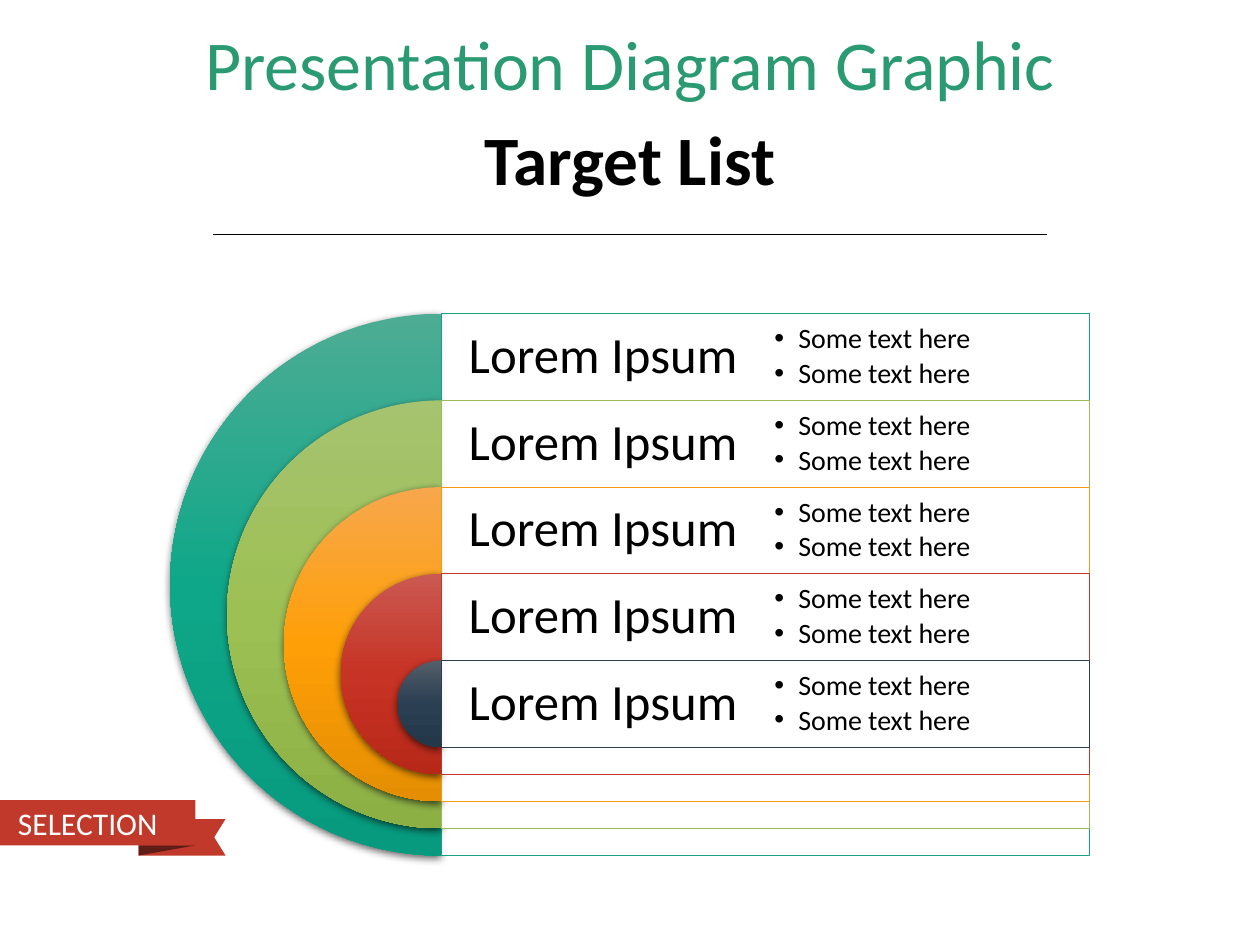
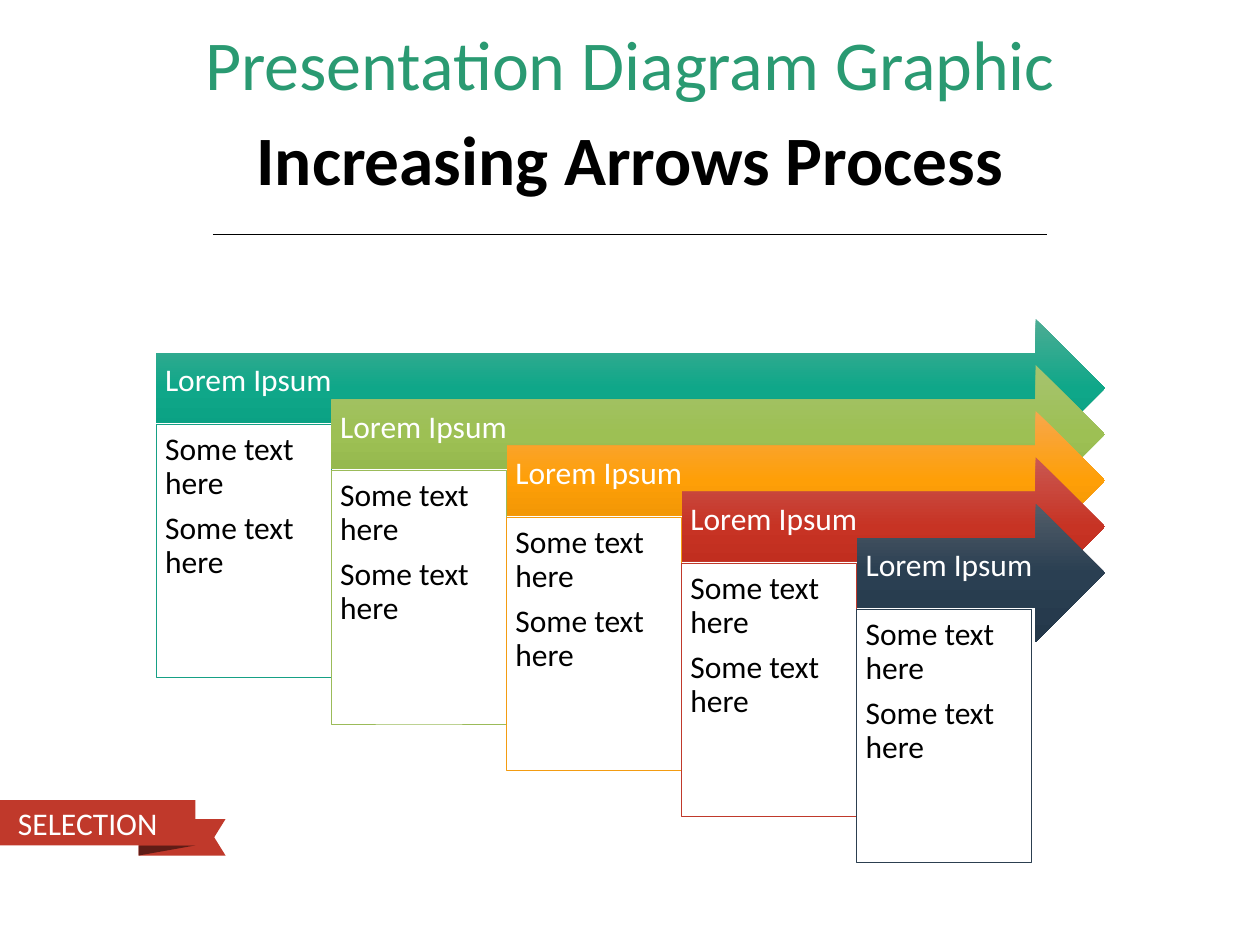
from copy import deepcopy

from lxml import etree
from pptx import Presentation
from pptx.dml.color import RGBColor
from pptx.enum.shapes import MSO_CONNECTOR, MSO_SHAPE
from pptx.enum.text import MSO_ANCHOR, MSO_AUTO_SIZE, PP_ALIGN
from pptx.oxml.ns import qn
from pptx.util import Inches, Pt

RECTANGLE, PIE, ARROW = MSO_SHAPE.RECTANGLE, MSO_SHAPE.PIE, MSO_SHAPE.RIGHT_ARROW
STRAIGHT = MSO_CONNECTOR.STRAIGHT
TOP, MIDDLE = MSO_ANCHOR.TOP, MSO_ANCHOR.MIDDLE
LEFT, CENTER, RIGHT = PP_ALIGN.LEFT, PP_ALIGN.CENTER, PP_ALIGN.RIGHT
NO_AUTOFIT = MSO_AUTO_SIZE.NONE

FONT = "Calibri"
SLIDE_W, SLIDE_H = 10, 7.5
HEADING_X, HEADING_W, HEADING_H = 0.69, 8.62, 0.75
COLORS = {
    "heading": "2A9A72",
    "ribbon": "C0392B",
    "fold": "601C16",
    "black": "000000",
    "white": "FFFFFF",
}
# Each theme: outline, then gradient from top to bottom
THEMES = [
    ("16A085", ("4DAC94", "0FA789", "079A7E")),
    ("9BBB59", ("A6C36F", "9DC054", "8DB045")),
    ("F39C12", ("F7A74C", "FE9F07", "E58E03")),
    ("C0392B", ("CA5952", "C73324", "B82819")),
    ("2C3F50", ("545E69", "2A3F52", "24384A")),
]
LABEL = "Lorem Ipsum"
DETAILS = ["Some text here", "Some text here"]


def rgb(color):
    return RGBColor.from_string(COLORS.get(color, color))


def add_bullet(paragraph, indent):
    properties = paragraph._p.get_or_add_pPr()
    properties.set("marL", str(Inches(indent)))
    properties.set("indent", str(-Inches(indent)))
    etree.SubElement(properties, qn("a:buFont"), typeface="Arial")
    etree.SubElement(properties, qn("a:buChar"), char="•")


def write(frame, lines, size=18, color="black", bold=False, align=LEFT, anchor=MIDDLE,
          insets=(0.1, 0.05, 0.1, 0.05), spacing=0.9, after=0, bullet_indent=None):
    """Fill a text frame; insets run left, top, right, bottom, and after is in points."""
    frame.word_wrap = True
    frame.auto_size = NO_AUTOFIT
    frame.vertical_anchor = anchor
    (frame.margin_left, frame.margin_top,
     frame.margin_right, frame.margin_bottom) = map(Inches, insets)
    for index, line in enumerate(lines):
        paragraph = frame.add_paragraph() if index else frame.paragraphs[0]
        paragraph.text = line
        if bullet_indent:
            add_bullet(paragraph, bullet_indent)
        paragraph.alignment = align
        paragraph.line_spacing = spacing
        paragraph.space_before = Pt(0)
        paragraph.space_after = Pt(after)
        font = paragraph.runs[0].font
        font.name, font.size, font.bold = FONT, Pt(size), bold
        font.color.rgb = rgb(color)


def add_text(slide, box, lines, **style):
    write(slide.shapes.add_textbox(*map(Inches, box)).text_frame, lines, **style)


def paint(shape, fill, outline=None):
    """Give a flat fill, or a vertical gradient when fill is a tuple."""
    shape.shadow.inherit = False
    if isinstance(fill, tuple):
        shape.fill.gradient()
        shape.fill.gradient_angle = 270
        stop_list = shape._element.spPr.find(".//" + qn("a:gsLst"))
        stop_list.insert(1, deepcopy(stop_list[0]))
        for index, (stop, color) in enumerate(zip(shape.fill.gradient_stops, fill)):
            stop.position = index / (len(fill) - 1)
            stop.color.rgb = rgb(color)
    else:
        shape.fill.solid()
        shape.fill.fore_color.rgb = rgb(fill)
    if outline:
        shape.line.color.rgb = rgb(outline)
        shape.line.width = Pt(0.5)
    else:
        shape.line.fill.background()
    return shape


def add_form(slide, kind, box, fill, outline=None):
    return paint(slide.shapes.add_shape(kind, *map(Inches, box)), fill, outline)


def add_outline(slide, points, fill):
    corners = [(Inches(x), Inches(y)) for x, y in points]
    builder = slide.shapes.build_freeform(*corners[0])
    builder.add_line_segments(corners[1:], close=True)
    paint(builder.convert_to_shape(), fill)


def set_alpha(color_node, percent):
    etree.SubElement(color_node, qn("a:alpha"), val=str(percent * 1000))


def cast_shadow(shape):
    effects = shape._element.spPr.find(qn("a:effectLst"))
    shadow = etree.SubElement(effects, qn("a:outerShdw"), blurRad=str(Pt(4.5)),
                              dist=str(Pt(1.5)), dir="5400000", rotWithShape="0")
    set_alpha(etree.SubElement(shadow, qn("a:srgbClr"), val=COLORS["black"]), 63)


def add_ribbon(slide):
    tail_x, tail_end, top, bottom = 1.1, 1.79, 6.5, 6.79
    band_w, band_y, band_h = 1.55, 6.35, 0.36
    fold_y = band_y + band_h
    add_outline(slide, [(tail_x, bottom), (tail_end, bottom), (1.7, (top + bottom) / 2),
                        (tail_end, top), (tail_x, top)], "ribbon")
    add_outline(slide, [(band_w, fold_y), (tail_x, bottom), (tail_x, fold_y)], "fold")
    band = add_form(slide, RECTANGLE, (0, band_y, band_w, band_h), "ribbon")
    write(band.text_frame, ["SELECTION"], color="white", align=RIGHT,
          insets=(0.1, 0, 0.3, 0), spacing=1.0)


def start_slide(deck, title):
    """Add a slide with the heading, rule, ribbon and title that all slides share."""
    slide = deck.slides.add_slide(deck.slide_layouts[5])
    add_text(slide, (HEADING_X, 0.16, HEADING_W, HEADING_H),
             ["Presentation Diagram Graphic"], size=40, color="heading", align=CENTER)
    rule = slide.shapes.add_connector(
        STRAIGHT, *map(Inches, (1.69, 1.86, SLIDE_W - 1.69, 1.86)))
    rule.line.color.rgb = rgb("black")
    rule.line.width = Pt(0.5)
    etree.SubElement(rule._element.spPr, qn("a:effectLst"))
    add_ribbon(slide)
    heading = slide.shapes.title
    heading.left, heading.top, heading.width, heading.height = map(
        Inches, (HEADING_X, 0.92, HEADING_W, HEADING_H))
    write(heading.text_frame, [title], size=39.6, bold=True, align=CENTER)
    return slide


def add_target_list(slide):
    center_x, top, size, panel_w = 3.5, 2.49, 4.3, 5.15
    row_h, bottom_step = size * 0.16, size * 0.05
    column_w = panel_w / 2
    for level, (outline, gradient) in enumerate(THEMES):
        y = top + level * row_h
        diameter = size - level * (row_h + bottom_step)
        ring = add_form(slide, PIE, (center_x - diameter / 2, y, diameter, diameter), gradient)
        ring.adjustments[0], ring.adjustments[1] = 54, 162
        cast_shadow(ring)
        panel = add_form(slide, RECTANGLE, (center_x, y, panel_w, diameter), "white", outline)
        set_alpha(panel._element.spPr.find(qn("a:solidFill"))[0], 90)
        add_text(slide, (center_x, y, column_w, row_h), [LABEL], size=29,
                 align=CENTER, insets=(0.12,) * 4)
        add_text(slide, (center_x + column_w, y, column_w, row_h), DETAILS, size=16,
                 insets=(0.07,) * 4, after=2.4, bullet_indent=0.19)


def add_increasing_arrows(slide):
    left, right, top = 1.24, 8.77, 2.53
    column_w, arrow_h, box_h = 1.39, 1.1, 2.01
    drop, box_offset = arrow_h / 3, 0.84
    for step, (outline, gradient) in enumerate(THEMES):
        x, y = left + step * column_w, top + step * drop
        arrow = add_form(slide, ARROW, (x, y, right - x, arrow_h), gradient)
        write(arrow.text_frame, [LABEL], color="white", insets=(0.07, 0.07, 0.28, 0.17))
        box = add_form(slide, RECTANGLE, (x, y + box_offset, column_w, box_h), "white", outline)
        write(box.text_frame, DETAILS, anchor=TOP, insets=(0.07,) * 4, after=6.3)


def main():
    deck = Presentation()
    deck.slide_width, deck.slide_height = Inches(SLIDE_W), Inches(SLIDE_H)
    add_target_list(start_slide(deck, "Target List"))
    add_increasing_arrows(start_slide(deck, "Increasing Arrows Process"))
    deck.save("out.pptx")


if __name__ == "__main__":
    main()
